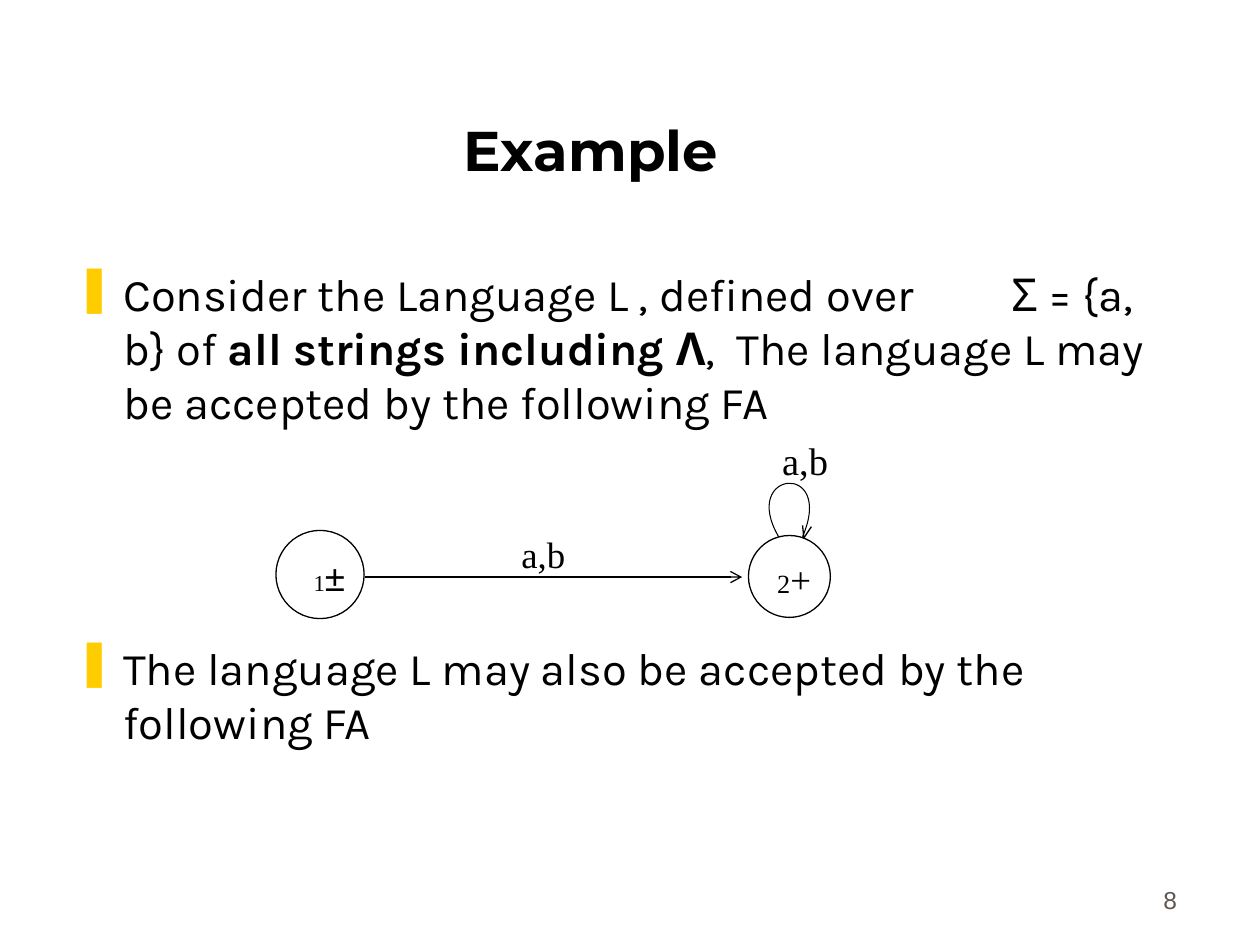
from lxml.etree import SubElement
from pptx import Presentation
from pptx.dml.color import RGBColor
from pptx.enum.shapes import MSO_CONNECTOR, MSO_SHAPE
from pptx.enum.text import MSO_ANCHOR, PP_ALIGN
from pptx.oxml.ns import qn
from pptx.util import Inches, Pt

BLACK = RGBColor(0x00, 0x00, 0x00)
WHITE = RGBColor(0xFF, 0xFF, 0xFF)
GRAY = RGBColor(0x5E, 0x57, 0x4E)
YELLOW = RGBColor(0xFF, 0xCC, 0x00)
SERIF = "Times New Roman"


def add_box(slide, left, top, width, height, anchor=MSO_ANCHOR.TOP):
    box = slide.shapes.add_textbox(Inches(left), Inches(top), Inches(width), Inches(height))
    box.text_frame.word_wrap = True
    box.text_frame.vertical_anchor = anchor
    return box.text_frame


def add_span(para, text, font, size, color=BLACK, bold=False):
    span = para.add_run()
    span.text = text
    span.font.name = font
    span.font.size = Pt(size)
    span.font.color.rgb = color
    span.font.bold = bold


def set_bullet(para, tab_stop=None):
    """Give a paragraph a hanging yellow bar and an optional tab stop in inches."""
    properties = para._p.get_or_add_pPr()
    properties.set("marL", str(Inches(0.38)))
    properties.set("indent", str(-Inches(0.38)))
    color = SubElement(properties, qn("a:buClr"))
    SubElement(color, qn("a:srgbClr"), val=str(YELLOW))
    SubElement(properties, qn("a:buChar"), char="❚")
    if tab_stop:
        tabs = SubElement(properties, qn("a:tabLst"))
        SubElement(tabs, qn("a:tab"), pos=str(Inches(tab_stop)), algn="l")


def add_state(slide, left, top, diameter):
    state = slide.shapes.add_shape(
        MSO_SHAPE.OVAL, Inches(left), Inches(top), Inches(diameter), Inches(diameter))
    state.shadow.inherit = False
    state.fill.solid()
    state.fill.fore_color.rgb = WHITE
    state.line.color.rgb = BLACK
    state.line.width = Pt(0.75)


def add_label(slide, left, top, width, spans):
    """Write one line from (text, font, size) spans."""
    para = add_box(slide, left, top, width, 0.45).paragraphs[0]
    for text, font, size in spans:
        add_span(para, text, font, size)


def add_arrow(slide, start, end):
    arrow = slide.shapes.add_connector(
        MSO_CONNECTOR.STRAIGHT, *[Inches(value) for value in start + end])
    arrow.line.color.rgb = BLACK
    arrow.line.width = Pt(0.75)
    SubElement(arrow.line._get_or_add_ln(), qn("a:tailEnd"), type="arrow")
    SubElement(arrow._element.spPr, qn("a:effectLst"))


def add_outline(slide, points, width):
    """Draw an open, unfilled line through the points."""
    start, *others = [(Inches(x), Inches(y)) for x, y in points]
    builder = slide.shapes.build_freeform(*start)
    builder.add_line_segments(others, close=False)
    outline = builder.convert_to_shape()
    outline.shadow.inherit = False
    outline.fill.background()
    outline.line.color.rgb = BLACK
    outline.line.width = Pt(width)
    return outline


def add_curve(slide, points, width):
    """Draw a cubic curve: start, two control points, end."""
    curve = add_outline(slide, points, width)
    geometry = next(curve._element.iter(qn("a:path")))
    bezier = SubElement(geometry, qn("a:cubicBezTo"))
    for segment in geometry.findall(qn("a:lnTo")):
        bezier.append(segment[0])
        geometry.remove(segment)


def add_body(slide):
    frame = add_box(slide, 0.5, 2.06, 8.94, 4.56)
    language = frame.paragraphs[0]
    set_bullet(language, tab_stop=7.43)
    for text, bold in (
        ("Consider the Language L , defined over \tΣ = {a, b} of ", False),
        ("all strings including Λ", True),
        (",  The language L may be accepted by the following FA", False),
    ):
        add_span(language, text, "Karla", 25.9, bold=bold)
    alternative = frame.add_paragraph()
    alternative.space_before = Pt(120.5)
    set_bullet(alternative)
    add_span(alternative, "The language L may also be accepted by the following FA",
             "Karla", 25.9)


def add_automaton(slide):
    add_state(slide, 2.19, 4.21, 0.7)
    add_label(slide, 2.39, 4.35, 0.7, [("1", SERIF, 13), ("±", "Arial", 21)])
    add_state(slide, 5.94, 4.25, 0.65)
    add_label(slide, 6.07, 4.37, 0.7, [("2", SERIF, 15), ("+", SERIF, 21)])

    add_arrow(slide, (2.9, 4.58), (5.89, 4.58))
    add_label(slide, 4.04, 4.17, 0.65, [("a,b", SERIF, 21)])

    add_curve(slide, [(6.18, 4.26), (5.87, 3.73), (6.63, 3.66), (6.37, 4.26)], 0.6)
    add_outline(slide, [(6.37, 4.17), (6.38, 4.27), (6.44, 4.18)], 0.75)
    add_label(slide, 6.11, 3.42, 0.84, [("a,b", SERIF, 22)])


def main():
    deck = Presentation()
    deck.slide_width = Inches(10)
    deck.slide_height = Inches(7.5)
    slide = deck.slides.add_slide(deck.slide_layouts[6])

    title = add_box(slide, 0.44, 0.25, 8.5, 1.25, MSO_ANCHOR.BOTTOM).paragraphs[0]
    title.alignment = PP_ALIGN.CENTER
    add_span(title, "Example", "Montserrat", 32, bold=True)
    add_body(slide)
    add_automaton(slide)
    number = add_box(slide, 7.36, 6.81, 2.08, 0.5, MSO_ANCHOR.BOTTOM).paragraphs[0]
    number.alignment = PP_ALIGN.RIGHT
    add_span(number, "8", "Arial", 14, GRAY)

    deck.save("out.pptx")


if __name__ == "__main__":
    main()
